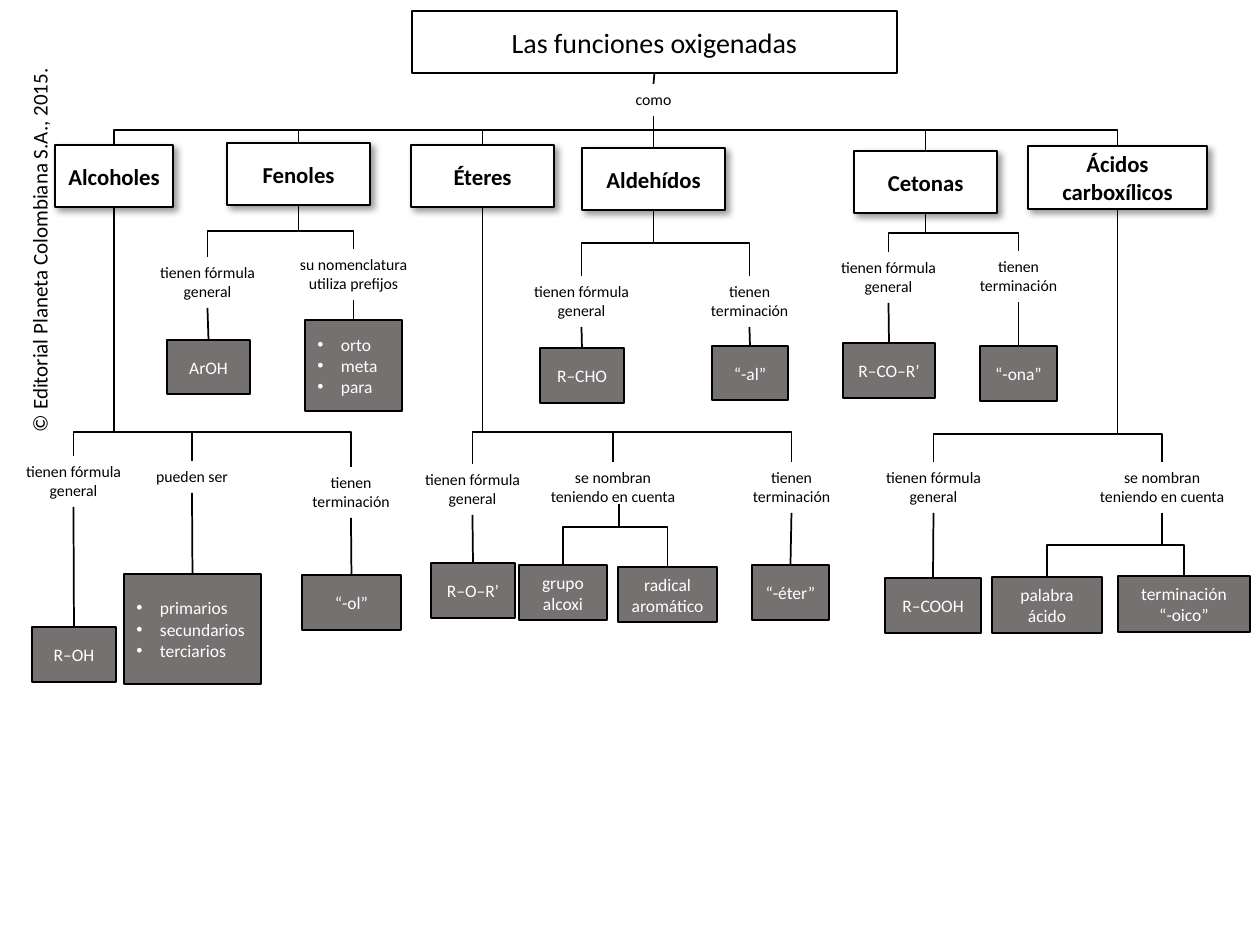
from lxml import etree
from pptx import Presentation
from pptx import util as u
from pptx.dml.color import RGBColor
from pptx.enum import shapes, text
from pptx.oxml import parse_xml
from pptx.oxml.ns import nsdecls, qn

PX = u.Inches(1) / 126
BLACK, WHITE, GRAY = "000000", "FFFFFF", "767171"
TOP_RAIL = 130
HEAD = dict(size=13, bold=True, fill=WHITE, shadow=True)
LABEL = dict(size=9)
LEAF = dict(size=10, color=WHITE, fill=GRAY)

presentation = Presentation()
presentation.slide_width, presentation.slide_height = u.Inches(10), u.Inches(7.5)
slide = presentation.slides.add_slide(presentation.slide_layouts[5])


def write(content, place, shape=None, size=10, color=BLACK, bold=False, fill=None,
          shadow=False, align=text.PP_ALIGN.CENTER, wrap=True):
    """Place a filled box or a plain label; lines starting with • become bullets."""
    left, top, width, height = [round(value * PX) for value in place]
    if shape is not None:
        shape.left, shape.top, shape.width, shape.height = left, top, width, height
    elif fill:
        shape = slide.shapes.add_shape(shapes.MSO_SHAPE.RECTANGLE, left, top, width, height)
    else:
        shape = slide.shapes.add_textbox(left, top, width, height)
    frame = shape.text_frame
    frame.word_wrap = wrap
    frame.auto_size = text.MSO_AUTO_SIZE.NONE
    if fill:
        frame.vertical_anchor = text.MSO_ANCHOR.MIDDLE
        shape.fill.solid()
        shape.fill.fore_color.rgb = RGBColor.from_string(fill)
        shape.line.color.rgb = RGBColor.from_string(BLACK)
        shape.line.width = u.Pt(1)
        shape.shadow.inherit = False
    if shadow:
        shape._element.spPr.find(qn("a:effectLst")).append(parse_xml(
            f'<a:outerShdw {nsdecls("a")} blurRad="50800" dist="38100" dir="2700000" '
            'algn="tl" rotWithShape="0"><a:srgbClr val="000000"><a:alpha val="40000"/>'
            '</a:srgbClr></a:outerShdw>'))
    for index, line in enumerate(content.split("\n")):
        paragraph = frame.add_paragraph() if index else frame.paragraphs[0]
        paragraph.alignment = align
        if line.startswith("•"):
            paragraph.alignment = text.PP_ALIGN.LEFT
            properties = paragraph._p.get_or_add_pPr()
            properties.set("marL", "171450")
            properties.set("indent", "-171450")
            etree.SubElement(properties, qn("a:buFont")).set("typeface", "Arial")
            etree.SubElement(properties, qn("a:buChar")).set("char", "•")
        run = paragraph.add_run()
        run.text = line.lstrip("•")
        run.font.name, run.font.size, run.font.bold = "Calibri", u.Pt(size), bold
        run.font.color.rgb = RGBColor.from_string(color)
    return shape


def connect(start, child, rail=None):
    """Join a shape or an (x, y) point to the top of child, bending at rail if given."""
    is_point = isinstance(start, tuple)
    if is_point:
        x1, y1 = [round(value * PX) for value in start]
    else:
        x1, y1 = start.left + start.width // 2, start.top + start.height
    x2, y2 = child.left + child.width // 2, child.top
    if rail is None:
        connector = slide.shapes.add_connector(shapes.MSO_CONNECTOR.STRAIGHT, x1, y1, x2, y2)
        if not is_point:
            connector.begin_connect(start, 2)
        connector.end_connect(child, 0)
    else:
        # An elbow that leaves downwards is a sideways one turned by a quarter
        middle_x, middle_y = (x1 + x2) // 2, (y1 + y2) // 2
        half_width, half_height = (y2 - y1) // 2, abs(x2 - x1) // 2
        side = 1 if x2 < x1 else -1
        connector = slide.shapes.add_connector(
            shapes.MSO_CONNECTOR.ELBOW,
            middle_x - side * half_width, middle_y - half_height,
            middle_x + side * half_width, middle_y + half_height)
        properties = connector._element.spPr
        properties.find(qn("a:xfrm")).set("rot", "5400000" if side == 1 else "16200000")
        geometry = properties.find(qn("a:prstGeom"))
        guides = geometry.find(qn("a:avLst"))
        if guides is None:
            guides = etree.SubElement(geometry, qn("a:avLst"))
        bend = round((rail * PX - y1) / (y2 - y1) * 100000)
        guide = etree.SubElement(guides, qn("a:gd"))
        guide.set("name", "adj1")
        guide.set("fmla", f"val {bend}")
    connector.line.color.rgb = RGBColor.from_string(BLACK)
    connector.line.width = u.Pt(1)
    etree.SubElement(connector._element.spPr, qn("a:effectLst"))


# Copyright line up the left edge
credit = write("© Editorial Planeta Colombiana S.A., 2015.", (-157, 229, 393, 38),
               size=12, align=text.PP_ALIGN.LEFT, wrap=False)
credit.rotation = 270

# Title and its linking word
title = write("Las funciones oxigenadas", (412, 11, 485, 62), slide.shapes.title,
              size=16, fill=WHITE)
como = write("como", (617, 84, 73, 32), **LABEL)
connect(title, como)

# Each function: name, place, rail below it, branches (label, place, leaf, place)
FORMULA, ENDING = "tienen fórmula general", "tienen terminación"
NAMING = "se nombran teniendo en cuenta"
functions = [
    ("Alcoholes", (55, 145, 118, 62), 432, [
        (FORMULA, (2, 456, 143, 51), "R–OH", (32, 627, 84, 55)),
        ("pueden ser", (131, 461, 122, 32),
         "•primarios\n•secundarios\n•terciarios", (124, 574, 137, 110)),
        (ENDING, (290, 467, 122, 51), "“-ol”", (302, 575, 99, 55))]),
    ("Fenoles", (227, 143, 143, 62), 231, [
        (FORMULA, (136, 257, 143, 51), "ArOH", (167, 340, 83, 54)),
        ("su nomenclatura utiliza prefijos", (282, 249, 143, 51),
         "•orto\n•meta\n•para", (305, 320, 97, 91))]),
    ("Éteres", (411, 145, 143, 62), 432, [
        (FORMULA, (401, 464, 143, 51), "R–O–R’", (431, 563, 84, 55)),
        (NAMING, (537, 462, 152, 51), None, None),
        (ENDING, (720, 462, 143, 51), "“-éter”", (752, 565, 77, 55))]),
    ("Aldehídos", (582, 148, 143, 62), 243, [
        (FORMULA, (510, 276, 143, 51), "R–CHO", (540, 348, 84, 55)),
        (ENDING, (678, 276, 143, 51), "“-al”", (712, 346, 76, 54))]),
    ("Cetonas", (854, 151, 143, 62), 233, [
        (FORMULA, (817, 252, 143, 51), "R–CO–R’", (843, 343, 92, 55)),
        (ENDING, (947, 251, 143, 51), "“-ona”", (980, 346, 77, 55))]),
    ("Ácidos carboxílicos", (1028, 146, 179, 63), 434, [
        (FORMULA, (863, 462, 141, 51), "R–COOH", (885, 578, 96, 55)),
        (NAMING, (1084, 462, 156, 51), None, None)]),
]

# Naming rules split in two: start point, rail, leaves
splits = {
    "Éteres": ((619, 504), 527, [
        ("grupo alcoxi", (519, 565, 88, 55)),
        ("radical aromático", (618, 567, 99, 55))]),
    "Ácidos carboxílicos": ((1162, 513), 545, [
        ("palabra ácido", (992, 577, 110, 56)),
        ("terminación\n“-oico”", (1118, 576, 132, 56))]),
}

for name, place, rail, branches in functions:
    head = write(name, place, **HEAD)
    if name in ("Éteres", "Aldehídos"):
        connect((place[0] + place[2] / 2, TOP_RAIL), head)
    else:
        connect(como, head, TOP_RAIL)
    for label_text, label_place, leaf_text, leaf_place in branches:
        label = write(label_text, label_place, **LABEL)
        connect(head, label, rail)
        if leaf_text:
            connect(label, write(leaf_text, leaf_place, **LEAF))
    if name in splits:
        start, split_rail, leaves = splits[name]
        for leaf_text, leaf_place in leaves:
            connect(start, write(leaf_text, leaf_place, **LEAF), split_rail)

presentation.save("out.pptx")
